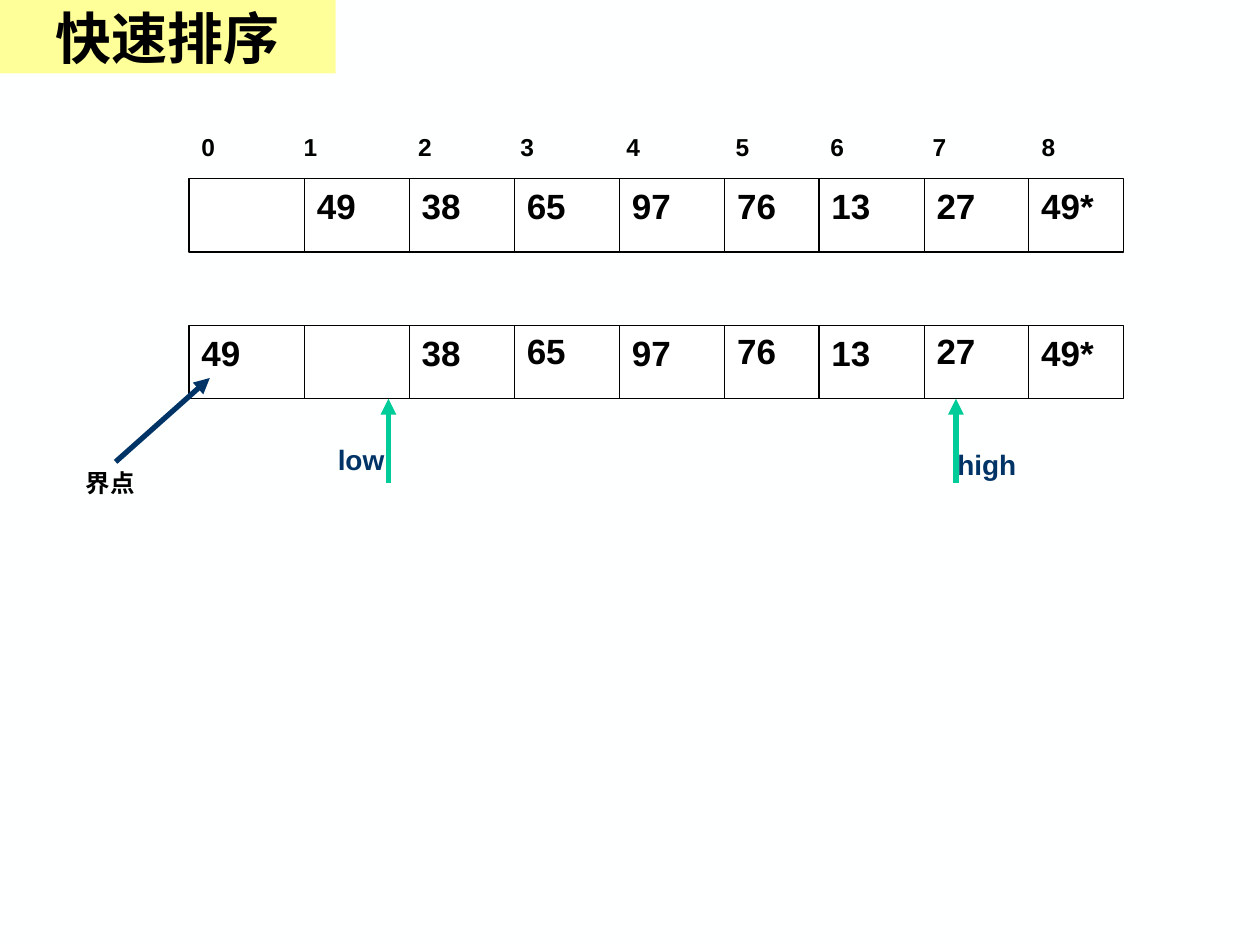
import pptx
import pptx.dml.color
import pptx.enum.shapes
import pptx.enum.text
import pptx.oxml
import pptx.oxml.ns
import pptx.util
from pptx.util import Cm

COLORS = {
    "background": "FEFFFF",
    "cell": "FFFFFF",
    "text": "000000",
    "navy": "003366",
    "green": "00CC99",
    "title": "FFFF99",
}

# Left edges of the nine array cells, then the right edge of the array
CELL_EDGES = [3.81, 6.14, 8.25, 10.37, 12.49, 14.61, 16.51, 18.63, 20.74, 22.65]
ROW_HEIGHT = 1.48
FIRST_ROW_TOP = 3.6
SECOND_ROW_TOP = 6.56
INDEX_TABS = [2.06, 4.37, 6.43, 8.57, 10.77, 12.68, 14.74, 16.94]

FIRST_ROW = ["", "49", "38", "65", "97", "76", "13", "27", "49*"]
SECOND_ROW = ["49", "", "38", "65", "97", "76", "13", "27", "49*"]
RAISED_VALUES = {"65", "76", "27"}  # set slightly higher in the second row


def rgb(name):
    return pptx.dml.color.RGBColor.from_string(COLORS[name])


def write_text(shape, text, size, color="text", font="Arial", align=None, tabs=()):
    frame = shape.text_frame
    frame.word_wrap = True
    paragraph = frame.paragraphs[0]
    if tabs:
        properties = paragraph._p.get_or_add_pPr()
        tab_list = pptx.oxml.parse_xml(f"<a:tabLst {pptx.oxml.ns.nsdecls('a')}/>")
        for position in tabs:
            tab_list.append(pptx.oxml.parse_xml(
                f'<a:tab {pptx.oxml.ns.nsdecls("a")} pos="{Cm(position)}" algn="l"/>'))
        properties.append(tab_list)
    paragraph.alignment = align
    run = paragraph.add_run()
    run.text = text
    run.font.name = font
    run.font.size = pptx.util.Pt(size)
    run.font.bold = True
    run.font.color.rgb = rgb(color)


def add_label(shapes, text, left, top, width, height, **text_format):
    box = shapes.add_textbox(Cm(left), Cm(top), Cm(width), Cm(height))
    write_text(box, text, **text_format)
    box.text_frame.auto_size = pptx.enum.text.MSO_AUTO_SIZE.SHAPE_TO_FIT_TEXT


def add_rectangle(shapes, left, top, width, height, fill, line=None):
    rectangle = shapes.add_shape(pptx.enum.shapes.MSO_SHAPE.RECTANGLE,
                                 Cm(left), Cm(top), Cm(width), Cm(height))
    rectangle.shadow.inherit = False
    rectangle.fill.solid()
    rectangle.fill.fore_color.rgb = rgb(fill)
    if line:
        rectangle.line.color.rgb = rgb(line)
        rectangle.line.width = pptx.util.Pt(0.75)
    else:
        rectangle.line.fill.background()
    return rectangle


def add_line(shapes, start, end, color, width, arrow=False):
    connector = shapes.add_connector(pptx.enum.shapes.MSO_CONNECTOR.STRAIGHT,
                                     Cm(start[0]), Cm(start[1]), Cm(end[0]), Cm(end[1]))
    connector.line.color.rgb = rgb(color)
    connector.line.width = pptx.util.Pt(width)
    namespace = pptx.oxml.ns.nsdecls("a")
    if arrow:
        connector.line._get_or_add_ln().append(
            pptx.oxml.parse_xml(f'<a:tailEnd {namespace} type="triangle"/>'))
    connector._element.spPr.append(pptx.oxml.parse_xml(f"<a:effectLst {namespace}/>"))


def add_array_row(slide, top):
    shapes = slide.shapes.add_group_shape().shapes
    left, right = CELL_EDGES[0], CELL_EDGES[-1]
    add_rectangle(shapes, left, top, right - left, ROW_HEIGHT, "cell", line="text")
    for edge in CELL_EDGES[1:-1]:
        add_line(shapes, (edge, top), (edge, top + ROW_HEIGHT), "text", 0.75)


def add_values(slide, values, top, raised=()):
    for left, value in zip(CELL_EDGES, values):
        if value:
            value_top = top - 0.04 if value in raised else top
            add_label(slide.shapes, value, left, value_top, 1.69, 1.11, size=20)


def add_pointer(slide, text, arrow_left, label_left, label_top):
    shapes = slide.shapes.add_group_shape().shapes
    row_bottom = SECOND_ROW_TOP + ROW_HEIGHT
    add_line(shapes, (arrow_left, 9.74), (arrow_left, row_bottom), "green", 3, arrow=True)
    add_label(shapes, text, label_left, label_top, 2.33, 0.94, size=16, color="navy")


def main():
    presentation = pptx.Presentation()
    presentation.slide_width = Cm(25.4)
    presentation.slide_height = Cm(19.05)
    slide = presentation.slides.add_slide(presentation.slide_layouts[6])
    slide.background.fill.solid()
    slide.background.fill.fore_color.rgb = rgb("background")

    # Array before and after the pivot is moved to cell 0
    add_array_row(slide, SECOND_ROW_TOP)
    add_array_row(slide, FIRST_ROW_TOP)
    add_label(slide.shapes, "\t".join(str(index) for index in range(9)),
              CELL_EDGES[0], 2.54, 18.84, 0.86, size=14, tabs=INDEX_TABS)
    add_values(slide, FIRST_ROW, FIRST_ROW_TOP)
    add_values(slide, SECOND_ROW, SECOND_ROW_TOP, raised=RAISED_VALUES)

    # Search pointers
    add_pointer(slide, "high", 19.27, 19.05, 8.89)
    add_pointer(slide, "low", 7.83, 6.56, 8.8)

    # Pivot
    add_label(slide.shapes, "界点", 1.48, 9.31, 2.12, 0.86, size=14)
    add_line(slide.shapes, (2.33, 9.31), (4.23, 7.62), "navy", 3, arrow=True)

    # Title
    title = add_rectangle(slide.shapes, 0, 0, 6.77, 1.48, "title")
    title.text_frame.vertical_anchor = pptx.enum.text.MSO_ANCHOR.MIDDLE
    write_text(title, "快速排序", size=32, font="Times New Roman",
               align=pptx.enum.text.PP_ALIGN.CENTER)

    presentation.save("out.pptx")


if __name__ == "__main__":
    main()
